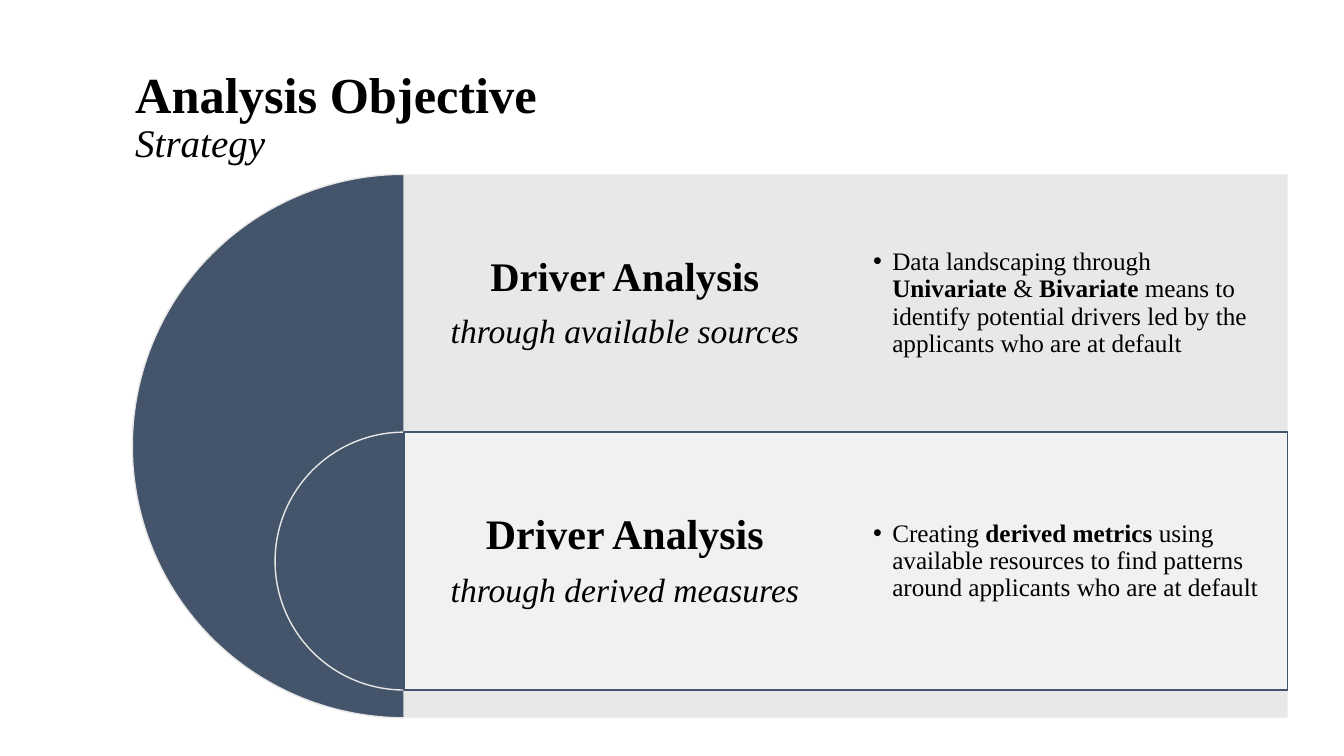
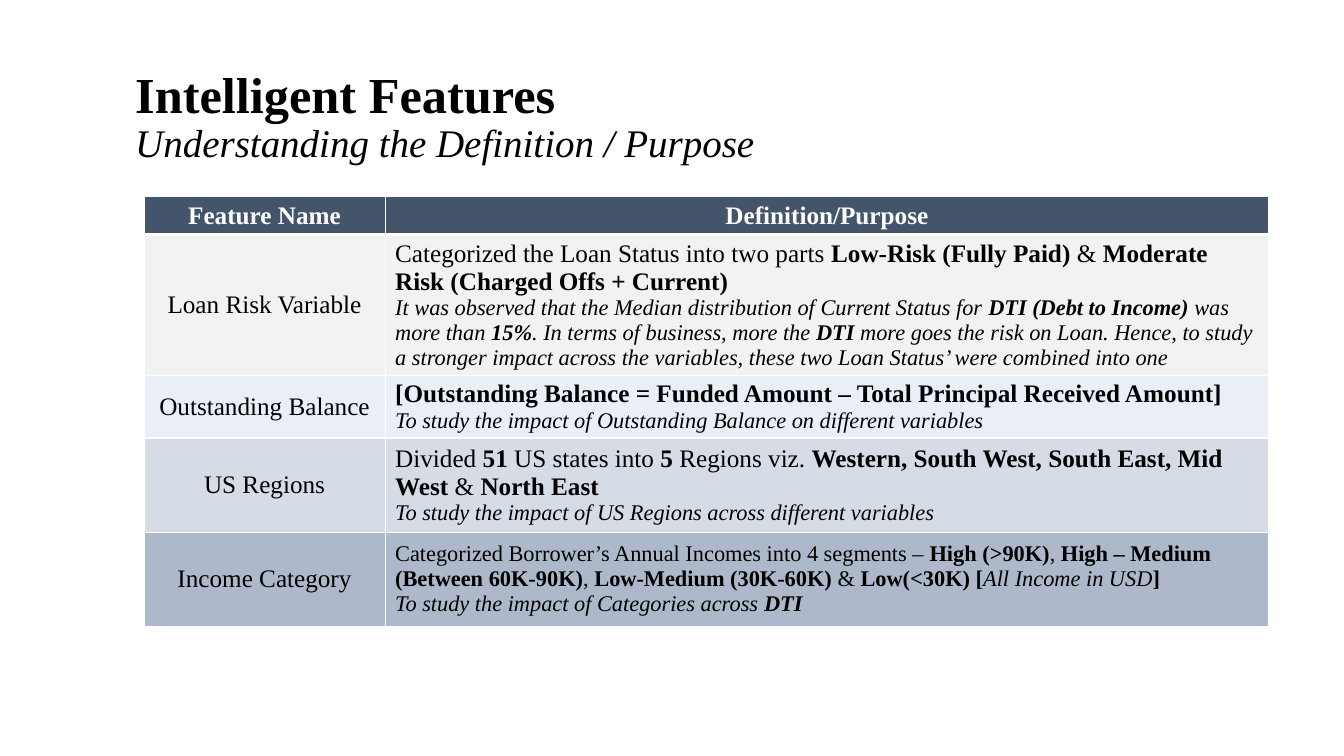
"""Build the analysis objective and the feature definition slides."""
import pptx
import pptx.dml.color
import pptx.enum.shapes
import pptx.enum.text
import pptx.oxml.ns
import pptx.util
import lxml.etree

HUE = {
    "ink": "000000", "white": "FFFFFF", "navy": "44546A", "band": "E7E6E6",
    "pale": "F2F2F2", "sky": "EAEFF7", "mist": "D6DCE5", "steel": "ADB9CA",
}
FACE = "Times New Roman"
COLS, ROWS = 160, 90
CELL = pptx.util.Inches(7.5) // ROWS
LEFT = pptx.enum.text.PP_ALIGN.LEFT
MID = pptx.enum.text.PP_ALIGN.CENTER
MIDDLE = pptx.enum.text.MSO_ANCHOR.MIDDLE
KIND = pptx.enum.shapes.MSO_SHAPE


def tint(name):
    return pptx.dml.color.RGBColor.from_string(HUE[name])


def grid(*cells):
    return [round(n * CELL) for n in cells]


def sub(node, tag, **attrs):
    return lxml.etree.SubElement(node, pptx.oxml.ns.qn(tag), **attrs)


class Deck:
    def __init__(self):
        self.prs = pptx.Presentation()
        self.prs.slide_width, self.prs.slide_height = grid(COLS, ROWS)
        self.slide = None

    def word(self, para, text, size, style="", hue="ink"):
        run = para.add_run()
        run.text = text
        font = run.font
        font.name, font.size = FACE, pptx.util.Pt(size)
        font.bold, font.italic = "b" in style, "i" in style
        font.color.rgb = tint(hue)

    def prose(self, frame, paras, align=LEFT, hue="ink", lead=None, gap=0):
        for k, (size, *runs) in enumerate(paras):
            para = frame.add_paragraph() if k else frame.paragraphs[0]
            para.alignment, para.line_spacing = align, lead
            para.space_before = pptx.util.Pt(0)
            para.space_after = pptx.util.Pt(round(size * gap, 1))
            for text, style in runs:
                self.word(para, text, size, style, hue)

    def frame(self, shape, inset):
        frame = shape.text_frame
        frame.word_wrap = True
        frame.auto_size = pptx.enum.text.MSO_AUTO_SIZE.NONE
        frame.vertical_anchor = MIDDLE
        frame.margin_left = frame.margin_right = pptx.util.Inches(inset)
        frame.margin_top = frame.margin_bottom = pptx.util.Inches(inset)
        return frame

    def place(self, shape, *box):
        shape.left, shape.top, shape.width, shape.height = grid(*box)

    def page(self, layout, head, note, wide):
        self.slide = self.prs.slides.add_slide(self.prs.slide_layouts[layout])
        title = self.slide.shapes.title
        self.place(title, 14.9, 8.4, wide, 11.3)
        frame = self.frame(title, 0.1)
        frame.margin_top = frame.margin_bottom = pptx.util.Inches(0.05)
        para = frame.paragraphs[0]
        para.alignment, para.line_spacing = LEFT, 0.9
        self.word(para, head, 36, "b")
        para.add_line_break()
        self.word(para, note, 27.9, "i")

    def shape(self, kind, box, fill, line=None, alpha=None):
        shape = self.slide.shapes.add_shape(kind, *grid(*box))
        shape.shadow.inherit = False
        shape.fill.solid()
        shape.fill.fore_color.rgb = tint(fill)
        if alpha:
            color = shape.element.spPr.find(".//" + pptx.oxml.ns.qn("a:srgbClr"))
            sub(color, "a:alpha", val=str(alpha * 1000))
        if line:
            shape.line.color.rgb = tint(line)
            shape.line.width = pptx.util.Pt(1)
        else:
            shape.line.fill.background()
        return shape

    def disc(self, hub, top, size):
        box = (hub - size / 2, top, size, size)
        pie = self.shape(KIND.PIE, box, "navy", "band")
        pie.adjustments[0], pie.adjustments[1] = 54, 162

    def label(self, box, paras):
        text = self.slide.shapes.add_textbox(*grid(*box))
        self.prose(self.frame(text, 0.12), paras, MID, lead=0.9, gap=0.35)

    def points(self, slot, box, paras):
        body = self.slide.placeholders[slot]
        self.place(body, *box)
        self.slide.shapes.element.append(body.element)
        frame = self.frame(body, 0.27)
        self.prose(frame, paras, lead=0.9, gap=0.15)
        dent = pptx.util.Inches(0.19)
        for para in frame.paragraphs:
            props = para._p.get_or_add_pPr()
            props.set("marL", str(dent))
            props.set("indent", str(-dent))

    def edge(self, cell, widths):
        props = cell._tc.get_or_add_tcPr()
        for side, width in zip("LRTB", widths):
            line = sub(props, "a:ln" + side, w=str(pptx.util.Pt(width)))
            sub(sub(line, "a:solidFill"), "a:srgbClr", val=HUE["white"])

    def table(self, spot, wides, highs, rows):
        box = grid(*spot, sum(wides), sum(highs))
        table = self.slide.shapes.add_table(len(highs), len(wides), *box).table
        for col, wide in zip(table.columns, grid(*wides)):
            col.width = wide
        for r, (fill, *texts) in enumerate(rows):
            table.rows[r].height = grid(highs[r])[0]
            for c, paras in enumerate(texts):
                cell = table.cell(r, c)
                self.edge(cell, (1, 1, 3 if r == 1 else 1, 1 if r else 3))
                cell.fill.solid()
                cell.fill.fore_color.rgb = tint(fill)
                if r:
                    cell.vertical_anchor = MIDDLE
                align = LEFT if r and c else MID
                self.prose(cell.text_frame, paras, align, "ink" if r else "white")


def goals(deck):
    deck.page(3, "Analysis Objective", "Strategy", 122.3)
    hub, top, size, wide, high = 48.1, 20.75, 64.7, 105.2, 30.7
    half = wide / 2
    bands = [
        (size, "band", None, 29, "through available sources",
         [("Data landscaping through ", ""), ("Univariate", "b"), (" & ", ""),
          ("Bivariate", "b"),
          (" means to identify potential drivers led by the applicants who are at default", "")]),
        (high, "pale", "navy", 30, "through derived measures",
         [("Creating ", ""), ("derived metrics", "b"),
          (" using available resources to find patterns around applicants who are at default", "")]),
    ]
    for k, (tall, fill, line, pts, note, runs) in enumerate(bands):
        y = top + k * high
        deck.disc(hub, y, tall)
        deck.shape(KIND.RECTANGLE, (hub, y, wide, tall), fill, line, 90)
        deck.label((hub, y, half, high),
                   [(pts, ("Driver Analysis", "b")), (24, (note, "i"))])
        deck.points(k + 1, (hub + half, y, half, high), [(18, *runs)])


def traits(deck):
    deck.page(5, "Intelligent Features", "Understanding the Definition / Purpose", 143.9)
    rows = [
        ("navy", "Feature Name", [(18, ("Definition/Purpose", "b"))]),
        ("pale", "Loan Risk Variable", [
            (18, ("Categorized the Loan Status into two parts ", ""),
             ("Low-Risk (Fully Paid)", "b"), (" & ", ""),
             ("Moderate Risk (Charged Offs + Current)", "b")),
            (16, ("It was observed that the Median distribution of Current Status for ", "i"),
             ("DTI (Debt to Income)", "bi"), (" was more than ", "i"), ("15%", "bi"),
             (". In terms of business, more the ", "i"), ("DTI", "bi"),
             (" more goes the risk on Loan. Hence, to study a stronger impact across "
              "the variables, these two Loan Status’ were combined into one", "i"))]),
        ("sky", "Outstanding Balance", [
            (18, ("[Outstanding Balance = Funded Amount – Total Principal Received Amount]", "b")),
            (16, ("To study the impact of Outstanding Balance on different variables", "i"))]),
        ("mist", "US Regions", [
            (18, ("Divided ", ""), ("51", "b"), (" US states into ", ""), ("5", "b"),
             (" Regions viz. ", ""), ("Western, South West, South East, Mid West ", "b"),
             ("&", ""), (" North East", "b")),
            (16, ("To study the impact of US Regions across different variables", "i"))]),
        ("steel", "Income Category", [
            (16, ("Categorized Borrower’s Annual Incomes into 4 segments – ", ""),
             ("High (>90K)", "b"), (", ", ""), ("High – Medium (Between 60K-90K)", "b"),
             (", ", ""), ("Low-Medium (30K-60K)", "b"), (" & ", ""),
             ("Low(<30K) [", "b"), ("All Income in USD", "i"), ("]", "b")),
            (16, ("To study the impact of Categories across ", "i"), ("DTI", "bi"))]),
    ]
    cells = [(fill, [(18, (name, "" if k else "b"))], text)
             for k, (fill, name, text) in enumerate(rows)]
    deck.table((17.15, 23.4), (28.7, 105.2), (4.4, 15.5, 6.5, 11.2, 11.2), cells)


def main():
    deck = Deck()
    goals(deck)
    traits(deck)
    deck.prs.save("out.pptx")


if __name__ == "__main__":
    main()
